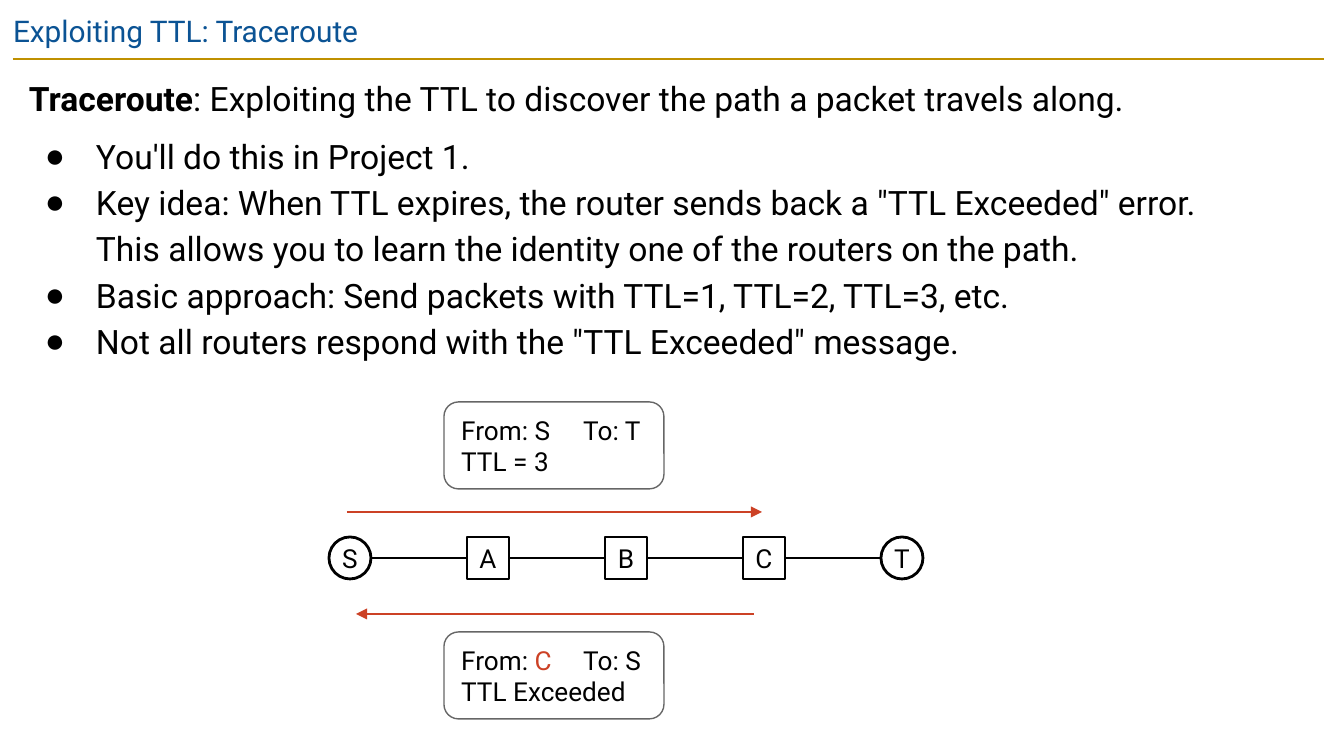
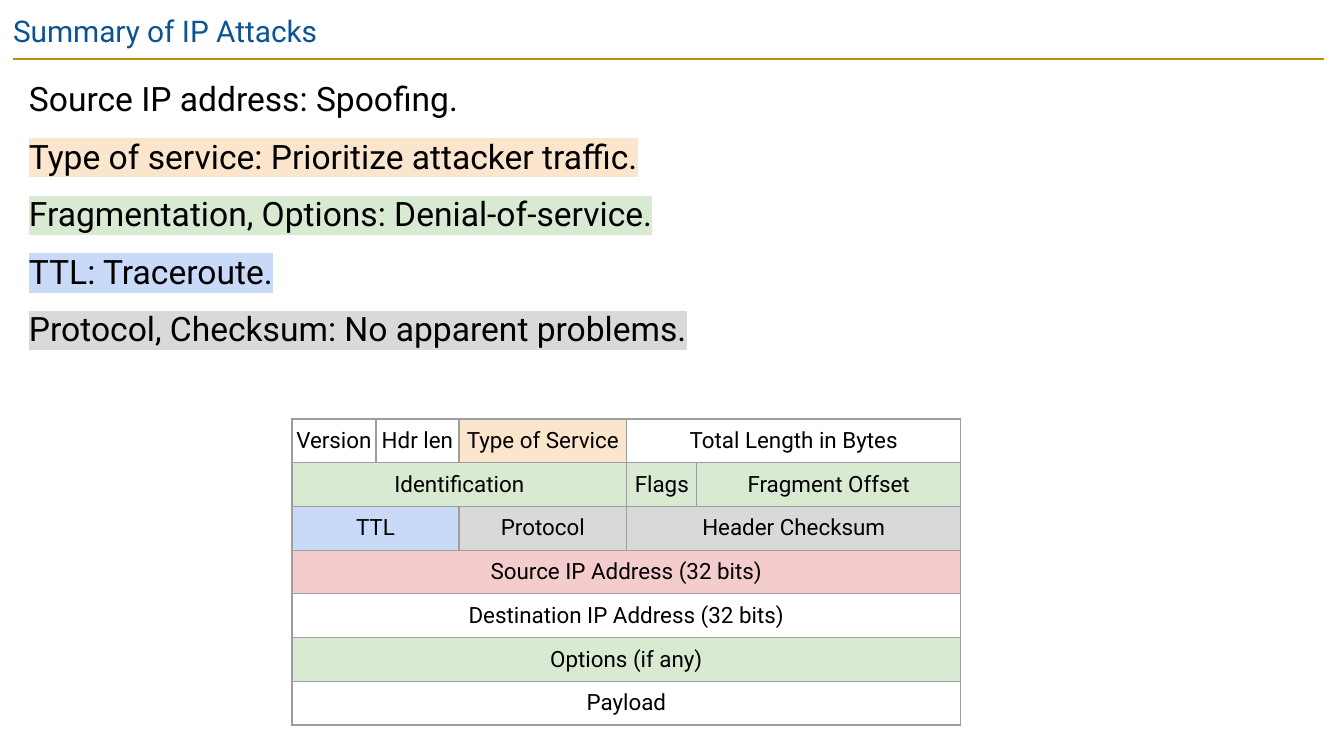
import copy

import lxml.etree
import pptx
import pptx.dml.color
import pptx.enum.shapes
import pptx.enum.text
import pptx.oxml.ns
import pptx.util

EMU_PER_PX = 914400 / 134.4
FONT = "Roboto"
BLACK, WHITE = "000000", "FFFFFF"
TITLE_BLUE, RULE_GOLD = "0B5394", "BF9000"
ARROW_RED, PACKET_GRAY, BORDER_GRAY = "CC4125", "666666", "9E9E9E"
ORANGE, GREEN, BLUE, GRAY, PINK = "FCE5CD", "D9EAD3", "C9DAF8", "D9D9D9", "F4CCCC"

ALIGN = pptx.enum.text.PP_ALIGN
ANCHOR = pptx.enum.text.MSO_ANCHOR
SHAPE = pptx.enum.shapes.MSO_SHAPE
STRAIGHT = pptx.enum.shapes.MSO_CONNECTOR.STRAIGHT


def px(length):
    return pptx.util.Emu(round(length * EMU_PER_PX))


def color(hex_string):
    return pptx.dml.color.RGBColor.from_string(hex_string)


def add_xml(parent, tag, **attributes):
    return lxml.etree.SubElement(parent, pptx.oxml.ns.qn(tag), attributes)


# ---- text ----
def add_run(paragraph, text, size, text_color=BLACK, bold=False, highlight=None):
    run = paragraph.add_run()
    run.text = text
    font = run.font
    font.name, font.size, font.bold = FONT, pptx.util.Pt(size), bold
    font.color.rgb = color(text_color)
    if highlight:
        properties = run._r.get_or_add_rPr()
        mark = add_xml(properties, "a:highlight")
        add_xml(mark, "a:srgbClr", val=highlight)
        properties.find(pptx.oxml.ns.qn("a:solidFill")).addnext(mark)
    return run


def add_line_break(paragraph, run):
    """Break the line at the text size of the run before it."""
    paragraph.add_line_break()
    paragraph._p[-1].append(copy.deepcopy(run._r.rPr))


def next_paragraph(frame, index):
    return frame.paragraphs[0] if index == 0 else frame.add_paragraph()


def set_frame(frame, inset, anchor):
    frame.word_wrap = True
    frame.auto_size = pptx.enum.text.MSO_AUTO_SIZE.NONE
    frame.vertical_anchor = anchor
    frame.margin_left = frame.margin_right = px(inset)
    frame.margin_top = frame.margin_bottom = px(inset)


def place(shape, left, top, width, height):
    shape.left, shape.top = px(left), px(top)
    shape.width, shape.height = px(width), px(height)


# ---- lines and shapes ----
def add_line(slide, start, end, line_color=BLACK, arrow=False):
    line = slide.shapes.add_connector(STRAIGHT, *map(px, start + end))
    line.line.width = pptx.util.Pt(1.5)
    line.line.color.rgb = color(line_color)
    if arrow:
        add_xml(line.line._get_or_add_ln(), "a:tailEnd", type="triangle")
    add_xml(line.element.spPr, "a:effectLst")


def add_outlined_shape(slide, kind, box, line_color, line_width):
    shape = slide.shapes.add_shape(kind, *map(px, box))
    shape.shadow.inherit = False
    shape.line.color.rgb = color(line_color)
    shape.line.width = pptx.util.Pt(line_width)
    return shape


def add_node(slide, kind, label, left, top, size):
    node = add_outlined_shape(slide, kind, (left, top, size, size), BLACK, 1.5)
    node.fill.solid()
    node.fill.fore_color.rgb = color(WHITE)
    set_frame(node.text_frame, 0, ANCHOR.MIDDLE)
    paragraph = node.text_frame.paragraphs[0]
    paragraph.alignment = ALIGN.CENTER
    add_run(paragraph, label, 14)


def add_packet(slide, top, sender, sender_color, receiver, message):
    packet = add_outlined_shape(slide, SHAPE.ROUNDED_RECTANGLE,
                                (444, top, 220, 87), PACKET_GRAY, 0.75)
    packet.fill.background()
    frame = packet.text_frame
    set_frame(frame, 13, ANCHOR.MIDDLE)
    addresses = frame.paragraphs[0]
    tabs = add_xml(addresses._p.get_or_add_pPr(), "a:tabLst")
    add_xml(tabs, "a:tab", pos=str(px(122)), algn="l")
    add_run(addresses, "From: ", 14)
    add_run(addresses, sender, 14, sender_color)
    add_run(addresses, f"\tTo: {receiver}", 14)
    second_line = frame.add_paragraph()
    add_run(second_line, message, 14)
    for paragraph in frame.paragraphs:
        paragraph.alignment = ALIGN.LEFT


# ---- slide frame: title, rule and body ----
def add_slide(presentation, title_text):
    slide = presentation.slides.add_slide(presentation.slide_layouts[1])
    title = slide.shapes.title
    place(title, 0, 0, 1253, 58)
    set_frame(title.text_frame, 13, ANCHOR.TOP)
    paragraph = title.text_frame.paragraphs[0]
    paragraph.alignment = ALIGN.LEFT
    add_run(paragraph, title_text, 16, TITLE_BLUE)
    add_line(slide, (13, 59), (1324, 59), RULE_GOLD)
    return slide


def fill_body(slide, height, paragraphs):
    """Each paragraph is (bulleted, space before, lines); a line is a list of runs."""
    body = slide.placeholders[1]
    place(body, 16, 59, 1309, height)
    set_frame(body.text_frame, 13, ANCHOR.TOP)
    for index, (bulleted, space_before, lines) in enumerate(paragraphs):
        paragraph = next_paragraph(body.text_frame, index)
        properties = paragraph._p.get_or_add_pPr()
        properties.set("marL", str(px(67 if bulleted else 0)))
        properties.set("indent", str(px(-51 if bulleted else 0)))
        if bulleted:
            add_xml(add_xml(properties, "a:buClr"), "a:srgbClr", val=BLACK)
            add_xml(properties, "a:buChar", char="●")
        else:
            add_xml(properties, "a:buNone")
        paragraph.line_spacing = 1.15
        paragraph.space_before = pptx.util.Pt(space_before)
        for line_index, runs in enumerate(lines):
            if line_index:
                add_line_break(paragraph, run)
            for text, style in runs:
                run = add_run(paragraph, text, 18, **style)


# ---- table ----
def style_cell(cell):
    cell.margin_left = cell.margin_right = px(4)
    cell.margin_top = cell.margin_bottom = px(4)
    cell.vertical_anchor = ANCHOR.MIDDLE
    properties = cell._tc.get_or_add_tcPr()
    for side in "LRTB":
        border = add_xml(properties, f"a:ln{side}", w=str(pptx.util.Pt(0.75)))
        add_xml(add_xml(border, "a:solidFill"), "a:srgbClr", val=BORDER_GRAY)
    cell.fill.background()


def add_header_table(slide, left, top, height, widths, rows):
    """Each field is (label, columns spanned, fill or None)."""
    graphic = slide.shapes.add_table(len(rows), len(widths), px(left), px(top),
                                     px(sum(widths)), px(height))
    table = graphic.table
    table.first_row = table.horz_banding = False
    for column, width in zip(table.columns, widths):
        column.width = px(width)
    for row in table.rows:
        row.height = px(height / len(rows))
    for cell in table.iter_cells():
        style_cell(cell)
    for row_index, fields in enumerate(rows):
        column_index = 0
        for label, span, fill in fields:
            cell = table.cell(row_index, column_index)
            column_index += span
            if span > 1:
                cell.merge(table.cell(row_index, column_index - 1))
            if fill:
                cell.fill.solid()
                cell.fill.fore_color.rgb = color(fill)
            paragraph = cell.text_frame.paragraphs[0]
            paragraph.alignment = ALIGN.CENTER
            add_run(paragraph, label, 12)


# ---- slides ----
def build_traceroute(presentation):
    slide = add_slide(presentation, "Exploiting TTL: Traceroute")

    # Route from S to T
    left, middle, size, pitch = 329, 558, 42, 138
    for index, label in enumerate("SABCT"):
        node_left = left + index * pitch
        kind = SHAPE.OVAL if label in "ST" else SHAPE.RECTANGLE
        add_node(slide, kind, label, node_left, middle - size // 2, size)
        if index:
            add_line(slide, (node_left - pitch + size, middle), (node_left, middle))

    # Packets and their directions
    add_packet(slide, 402, "S", BLACK, "T", "TTL = 3")
    add_line(slide, (347, 512), (762, 512), ARROW_RED, arrow=True)
    add_line(slide, (754, 614), (356, 614), ARROW_RED, arrow=True)
    add_packet(slide, 632, "C", ARROW_RED, "S", "TTL Exceeded")

    # Definition and bullets
    bullets = [
        ["You'll do this in Project 1."],
        ['Key idea: When TTL expires, the router sends back a "TTL Exceeded" error.',
         "This allows you to learn the identity one of the routers on the path."],
        ["Basic approach: Send packets with TTL=1, TTL=2, TTL=3, etc."],
        ['Not all routers respond with the "TTL Exceeded" message.'],
    ]
    definition = [
        ("Traceroute", {"bold": True}),
        (": Exploiting the TTL to discover the path a packet travels along.", {}),
    ]
    paragraphs = [(False, 0, [definition])]
    for index, lines in enumerate(bullets):
        paragraphs.append((True, 0 if index else 6, [[(text, {})] for text in lines]))
    fill_body(slide, 319, paragraphs)


def build_summary(presentation):
    slide = add_slide(presentation, "Summary of IP Attacks")

    # Attacks, marked in the colours of the header fields
    attacks = [
        ("Source IP address: Spoofing.", None),
        ("Type of service: Prioritize attacker traffic.", ORANGE),
        ("Fragmentation, Options: Denial-of-service.", GREEN),
        ("TTL: Traceroute.", BLUE),
        ("Protocol, Checksum: No apparent problems.", GRAY),
    ]
    fill_body(slide, 333, [(False, 6 if index else 0, [[(text, {"highlight": mark})]])
                           for index, (text, mark) in enumerate(attacks)])

    # IP header
    add_header_table(slide, 292, 419, 306, [84, 83, 84, 84, 70, 98, 83, 83], [
        [("Version", 1, None), ("Hdr len", 1, None), ("Type of Service", 2, ORANGE),
         ("Total Length in Bytes", 4, None)],
        [("Identification", 4, GREEN), ("Flags", 1, GREEN), ("Fragment Offset", 3, GREEN)],
        [("TTL", 2, BLUE), ("Protocol", 2, GRAY), ("Header Checksum", 4, GRAY)],
        [("Source IP Address (32 bits)", 8, PINK)],
        [("Destination IP Address (32 bits)", 8, None)],
        [("Options (if any)", 8, GREEN)],
        [("Payload", 8, None)],
    ])


def main():
    presentation = pptx.Presentation()
    presentation.slide_width, presentation.slide_height = px(1344), px(756)
    build_traceroute(presentation)
    build_summary(presentation)
    presentation.save("out.pptx")


if __name__ == "__main__":
    main()
